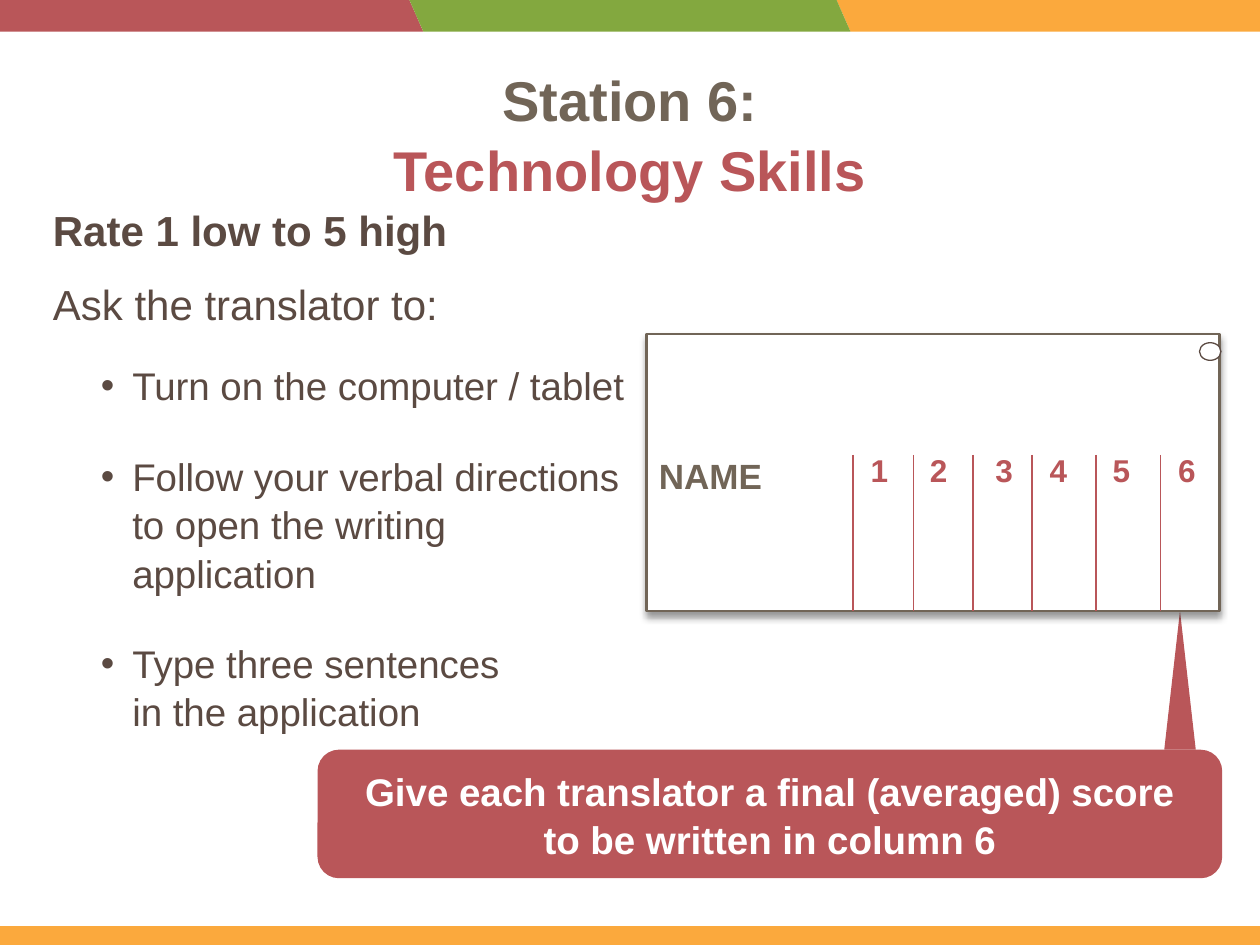
"""Build the slide that explains how to score technology skills at station 6."""
from copy import deepcopy

from lxml import etree
from pptx import Presentation
from pptx.dml.color import RGBColor
from pptx.enum.shapes import MSO_CONNECTOR, MSO_SHAPE
from pptx.enum.text import MSO_ANCHOR, MSO_AUTO_SIZE, PP_ALIGN
from pptx.oxml.ns import qn
from pptx.util import Inches, Pt

STRAIGHT = MSO_CONNECTOR.STRAIGHT
SLANTED, RECTANGLE = MSO_SHAPE.PARALLELOGRAM, MSO_SHAPE.RECTANGLE
ROUNDED, TRIANGLE, OVAL = MSO_SHAPE.ROUNDED_RECTANGLE, MSO_SHAPE.ISOSCELES_TRIANGLE, MSO_SHAPE.OVAL
TOP, MIDDLE = MSO_ANCHOR.TOP, MSO_ANCHOR.MIDDLE
LEFT, CENTER = PP_ALIGN.LEFT, PP_ALIGN.CENTER
FIXED = MSO_AUTO_SIZE.NONE

RED = RGBColor(0xB9, 0x56, 0x59)
GREEN = RGBColor(0x83, 0xA8, 0x3F)
ORANGE = RGBColor(0xFB, 0xA9, 0x3D)
TAUPE = RGBColor(0x71, 0x65, 0x57)
BROWN = RGBColor(0x5B, 0x4A, 0x42)
WHITE = RGBColor(0xFF, 0xFF, 0xFF)

STRIPES = [(6.64, ORANGE), (-0.14, RED), (3.25, GREEN)]
TITLE = [("Station 6:\n", TAUPE), ("Technology Skills", RED)]
INTRO = [("Rate 1 low to 5 high", True, 0), ("Ask the translator to:", False, 6)]
TASKS = [
    "Turn on the computer / tablet",
    "Follow your verbal directions to open the writing application",
    "Type three sentences\nin the application",
]
CALLOUT = "Give each translator a final (averaged) score\nto be written in column 6"
COLUMNS = [
    ("1", 6.77, 6.98), ("2", 7.25, 7.45), ("3", 7.72, 7.97),
    ("4", 8.19, 8.4), ("5", 8.7, 8.9), ("6", 9.21, 9.42),
]
CARD = (5.13, 2.65, 4.55, 2.2)
RULE_TOP = 3.61
LABEL_WIDTH, LABEL_HEIGHT = 0.42, 0.4


def write(para, text, size, color, bold=True, align=LEFT, before=0, after=0):
    """Add text to a paragraph, turning newlines into line breaks."""
    para.alignment = align
    para.line_spacing = 1.05
    para.space_before, para.space_after = Pt(before), Pt(after)
    for index, line in enumerate(text.split("\n")):
        if index:
            para.add_line_break()
            para._p[-1].append(deepcopy(span._r.rPr))
        if line:
            span = para.add_run()
            span.text = line
            span.font.name, span.font.size = "Arial", Pt(size)
            span.font.bold, span.font.color.rgb = bold, color


def set_bullet(para, left=0, hanging=0, mark=None):
    """Set a paragraph's indents and its bullet, or no bullet."""
    properties = para._p.get_or_add_pPr()
    properties.set("marL", str(Inches(left)))
    properties.set("indent", str(-Inches(hanging)))
    if mark:
        etree.SubElement(properties, qn("a:buFont"), typeface="Arial")
        etree.SubElement(properties, qn("a:buChar"), char=mark)
    else:
        etree.SubElement(properties, qn("a:buNone"))


def place(box, left, top, width, height):
    """Move and size a box in inches."""
    box.left, box.top = Inches(left), Inches(top)
    box.width, box.height = Inches(width), Inches(height)


def set_frame(box, anchor=TOP, left=0.1, top=0.05, right=0.1, bottom=0.05):
    """Prepare a wrapping text frame of fixed size and return it."""
    frame = box.text_frame
    frame.word_wrap, frame.auto_size, frame.vertical_anchor = True, FIXED, anchor
    frame.margin_left, frame.margin_right = Inches(left), Inches(right)
    frame.margin_top, frame.margin_bottom = Inches(top), Inches(bottom)
    return frame


def add_block(page, kind, area, fill, line=None, weight=0.75):
    """Add a flat preset shape."""
    block = page.shapes.add_shape(kind, *map(Inches, area))
    block.shadow.inherit = False
    block.fill.solid()
    block.fill.fore_color.rgb = fill
    if line is None:
        block.line.fill.background()
    else:
        block.line.color.rgb, block.line.width = line, Pt(weight)
    return block


def add_shadow(block):
    """Give a block a soft shadow straight below it."""
    effects = block.element.spPr.find(qn("a:effectLst"))
    shadow = etree.SubElement(effects, qn("a:outerShdw"), blurRad=str(Pt(4)),
                              dist=str(Pt(3)), dir="5400000", rotWithShape="0")
    black = etree.SubElement(shadow, qn("a:srgbClr"), val="000000")
    etree.SubElement(black, qn("a:alpha"), val="40000")


def add_bands(page):
    """Draw the top stripes and the bottom band."""
    for left, color in STRIPES:
        stripe = add_block(page, SLANTED, (left, 0, 3.5, 0.25), color)
        stripe.adjustments[0] = 0.44
        stripe.element.spPr.get_or_add_xfrm().set("flipH", "1")
    add_block(page, RECTANGLE, (0, 7.35, 10, 0.15), ORANGE)


def fill_placeholders(page):
    """Write the title and the instruction list."""
    title, body = page.shapes.title, page.placeholders[1]
    place(title, 0.69, 0.42, 8.62, 1.45)
    heading = set_frame(title, top=0.07).paragraphs[0]
    for text, color in TITLE:
        write(heading, text, 32, color, align=CENTER)

    place(body, 0.36, 1.54, 4.78, 4.4)
    frame = set_frame(body, left=0.06, top=0.06, right=0.06, bottom=0.06)
    for index, (text, bold, before) in enumerate(INTRO):
        para = frame.add_paragraph() if index else frame.paragraphs[0]
        write(para, text, 24, BROWN, bold=bold, before=before, after=6)
        set_bullet(para)
    for text in TASKS:
        para = frame.add_paragraph()
        para.level = 1
        write(para, text, 22, BROWN, bold=False, before=12, after=12)
        set_bullet(para, left=0.63, hanging=0.25, mark="•")


def add_callout(page):
    """Draw the note that points to the last column."""
    add_block(page, TRIANGLE, (9.24, 4.85, 0.25, 1.1), RED)
    note = add_block(page, ROUNDED, (2.52, 5.95, 7.18, 1.02), RED)
    write(set_frame(note, MIDDLE).paragraphs[0], CALLOUT, 22, WHITE, align=CENTER)


def add_name_card(page):
    """Draw the name card with its numbered score columns."""
    card = add_block(page, RECTANGLE, CARD, WHITE, TAUPE, 1.5)
    add_shadow(card)
    write(set_frame(card, top=0.94).paragraphs[0], "NAME", 20, TAUPE)
    add_block(page, OVAL, (9.52, 2.72, 0.17, 0.14), WHITE, BROWN)
    bottom = CARD[1] + CARD[3]
    for number, rule_left, center in COLUMNS:
        rule = page.shapes.add_connector(
            STRAIGHT, *map(Inches, (rule_left, RULE_TOP, rule_left, bottom)))
        rule.line.color.rgb, rule.line.width = RED, Pt(1)
        etree.SubElement(rule.element.spPr, qn("a:effectLst"))
        label = page.shapes.add_textbox(*map(Inches, (
            center - LABEL_WIDTH / 2, 3.52, LABEL_WIDTH, LABEL_HEIGHT)))
        write(set_frame(label, MIDDLE).paragraphs[0], number, 18, RED, align=CENTER)


def main():
    deck = Presentation()
    deck.slide_width, deck.slide_height = Inches(10), Inches(7.5)
    page = deck.slides.add_slide(deck.slide_layouts[1])
    add_bands(page)
    fill_placeholders(page)
    add_callout(page)
    add_name_card(page)
    deck.save("out.pptx")


if __name__ == "__main__":
    main()
